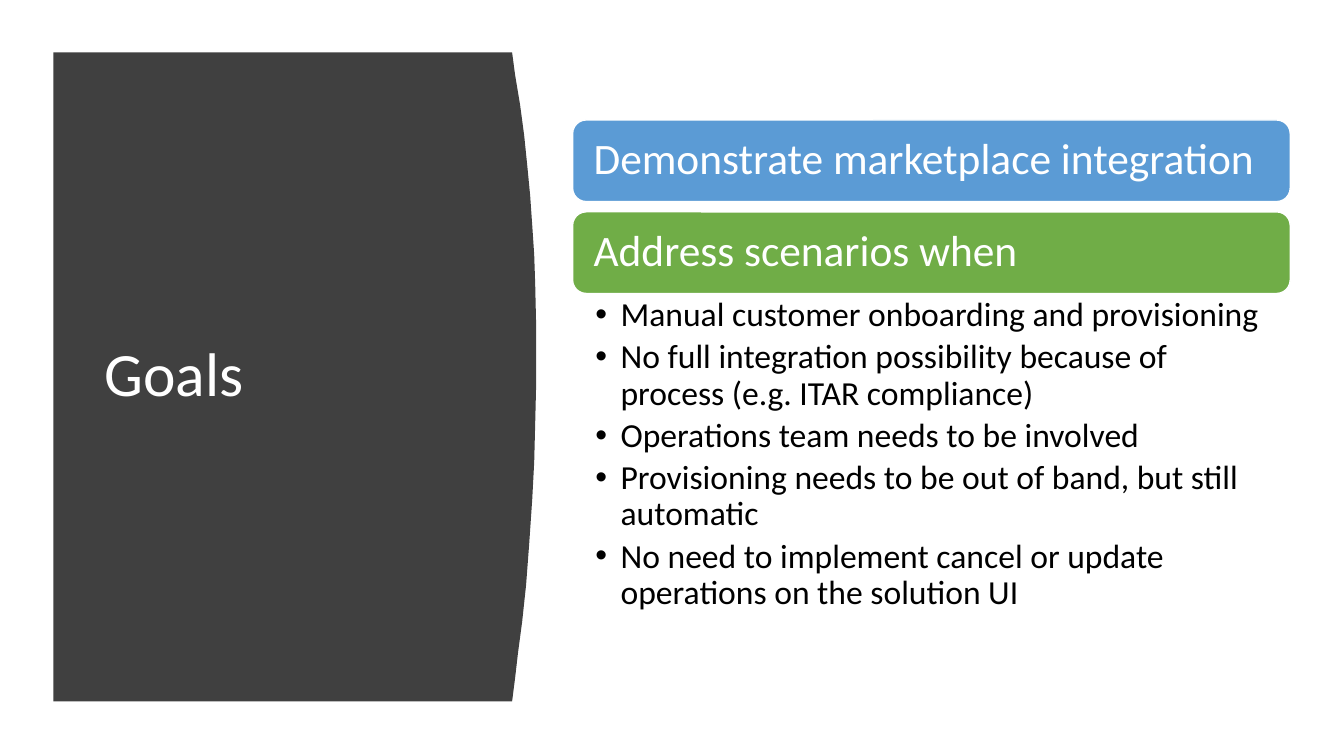
import lxml.etree
import pptx
import pptx.dml.color
import pptx.enum.shapes
import pptx.enum.text
import pptx.oxml.ns
import pptx.util
from dataclasses import dataclass

Pt = pptx.util.Pt


@dataclass(frozen=True)
class Theme:
    """Font, colours and type sizes of the slide."""
    font: str = "Calibri"
    panel: str = "404040"
    blue: str = "5B9BD5"
    green: str = "70AD47"
    light: str = "FFFFFF"
    dark: str = "000000"
    title_size: float = 44
    card_size: float = 31
    bullet_size: float = 24
    line_spacing: float = 0.9


THEME = Theme()
PANEL_LEFT = 38.2
PANEL_EDGE = [
    (365.8, 37.4), (367.9, 53.3), (371.5, 74.9), (374.4, 96.5), (376.6, 118),
    (378.7, 139.7), (380.2, 161.3), (381.6, 182), (382.3, 203), (383, 234),
    (383, 273.6), (382.3, 302.4), (381.6, 330), (380.2, 356.4), (378, 388.8),
    (375.8, 418), (373, 444), (370, 466.6), (368, 484), (365.8, 501.1),
]
COLUMN_LEFT, COLUMN_WIDTH = 409, 512.6
CARD_TOP, CARD_HEIGHT, CARD_PITCH = 85.7, 58.3, 65.6
CARDS = [
    ("Demonstrate marketplace integration", THEME.blue),
    ("Address scenarios when", THEME.green),
]
SCENARIOS = [
    "Manual customer onboarding and provisioning",
    "No full integration possibility because of process (e.g. ITAR compliance)",
    "Operations team needs to be involved",
    "Provisioning needs to be out of band, but still automatic",
    "No need to implement cancel or update operations on the solution UI",
]


def rgb(value):
    """Turn a hex string into a colour."""
    return pptx.dml.color.RGBColor.from_string(value)


def paint(shape, fill, line=None):
    """Give a shape a flat fill, an optional outline and no shadow."""
    shape.shadow.inherit = False
    shape.fill.solid()
    shape.fill.fore_color.rgb = rgb(fill)
    if line:
        shape.line.color.rgb = rgb(line)
        shape.line.width = Pt(1)
    else:
        shape.line.fill.background()


def set_frame(frame, insets, anchor):
    """Set wrapping, anchor and the left, top, right and bottom insets."""
    frame.word_wrap = True
    frame.vertical_anchor = anchor
    (frame.margin_left, frame.margin_top,
     frame.margin_right, frame.margin_bottom) = map(Pt, insets)


def write(paragraph, text, size, color):
    """Add one left-aligned run to a paragraph."""
    paragraph.alignment = pptx.enum.text.PP_ALIGN.LEFT
    paragraph.line_spacing = THEME.line_spacing
    run = paragraph.add_run()
    run.text = text
    run.font.name = THEME.font
    run.font.size = Pt(size)
    run.font.color.rgb = rgb(color)


def add_bullet(paragraph, indent):
    """Give a paragraph a round bullet with a hanging indent."""
    properties = paragraph._p.get_or_add_pPr()
    properties.set("marL", str(Pt(indent)))
    properties.set("indent", str(-Pt(indent)))
    for tag, name, value in (("a:buFont", "typeface", "Arial"),
                             ("a:buChar", "char", "•")):
        element = lxml.etree.SubElement(properties, pptx.oxml.ns.qn(tag))
        element.set(name, value)


def add_panel(slide):
    """Draw the dark panel with its bulging right edge."""
    top, bottom = PANEL_EDGE[0][1], PANEL_EDGE[-1][1]
    builder = slide.shapes.build_freeform(Pt(PANEL_LEFT), Pt(top))
    corners = PANEL_EDGE + [(PANEL_LEFT, bottom)]
    builder.add_line_segments([(Pt(x), Pt(y)) for x, y in corners], close=True)
    paint(builder.convert_to_shape(), THEME.panel)


def add_title(slide, text):
    """Place the title, vertically centred on the panel."""
    box = slide.shapes.add_textbox(Pt(67.7), Pt(80), Pt(269.3), Pt(377.3))
    set_frame(box.text_frame, (7.2, 3.6, 7.2, 3.6), pptx.enum.text.MSO_ANCHOR.MIDDLE)
    write(box.text_frame.paragraphs[0], text, THEME.title_size, THEME.light)


def add_card(slide, top, text, fill):
    """Add a rounded heading card."""
    card = slide.shapes.add_shape(
        pptx.enum.shapes.MSO_SHAPE.ROUNDED_RECTANGLE,
        Pt(COLUMN_LEFT), Pt(top), Pt(COLUMN_WIDTH), Pt(CARD_HEIGHT))
    paint(card, fill, THEME.light)
    set_frame(card.text_frame, (12.2, 9, 12.2, 9), pptx.enum.text.MSO_ANCHOR.MIDDLE)
    write(card.text_frame.paragraphs[0], text, THEME.card_size, THEME.light)


def add_bullets(slide, top, items):
    """Add the bulleted list in the right column."""
    box = slide.shapes.add_textbox(
        Pt(COLUMN_LEFT), Pt(top), Pt(COLUMN_WIDTH), Pt(242.6))
    frame = box.text_frame
    set_frame(frame, (16.3, 2.9, 17.3, 2.9), pptx.enum.text.MSO_ANCHOR.TOP)
    for index, item in enumerate(items):
        paragraph = frame.add_paragraph() if index else frame.paragraphs[0]
        write(paragraph, item, THEME.bullet_size, THEME.dark)
        paragraph.space_after = Pt(4.3)
        add_bullet(paragraph, 18)


def main():
    """Build and save the slide."""
    presentation = pptx.Presentation()
    presentation.slide_width, presentation.slide_height = Pt(960), Pt(540)
    slide = presentation.slides.add_slide(presentation.slide_layouts[6])
    add_panel(slide)
    add_title(slide, "Goals")
    for index, (text, fill) in enumerate(CARDS):
        add_card(slide, CARD_TOP + index * CARD_PITCH, text, fill)
    list_top = CARD_TOP + (len(CARDS) - 1) * CARD_PITCH + CARD_HEIGHT
    add_bullets(slide, list_top, SCENARIOS)
    presentation.save("out.pptx")


main()
